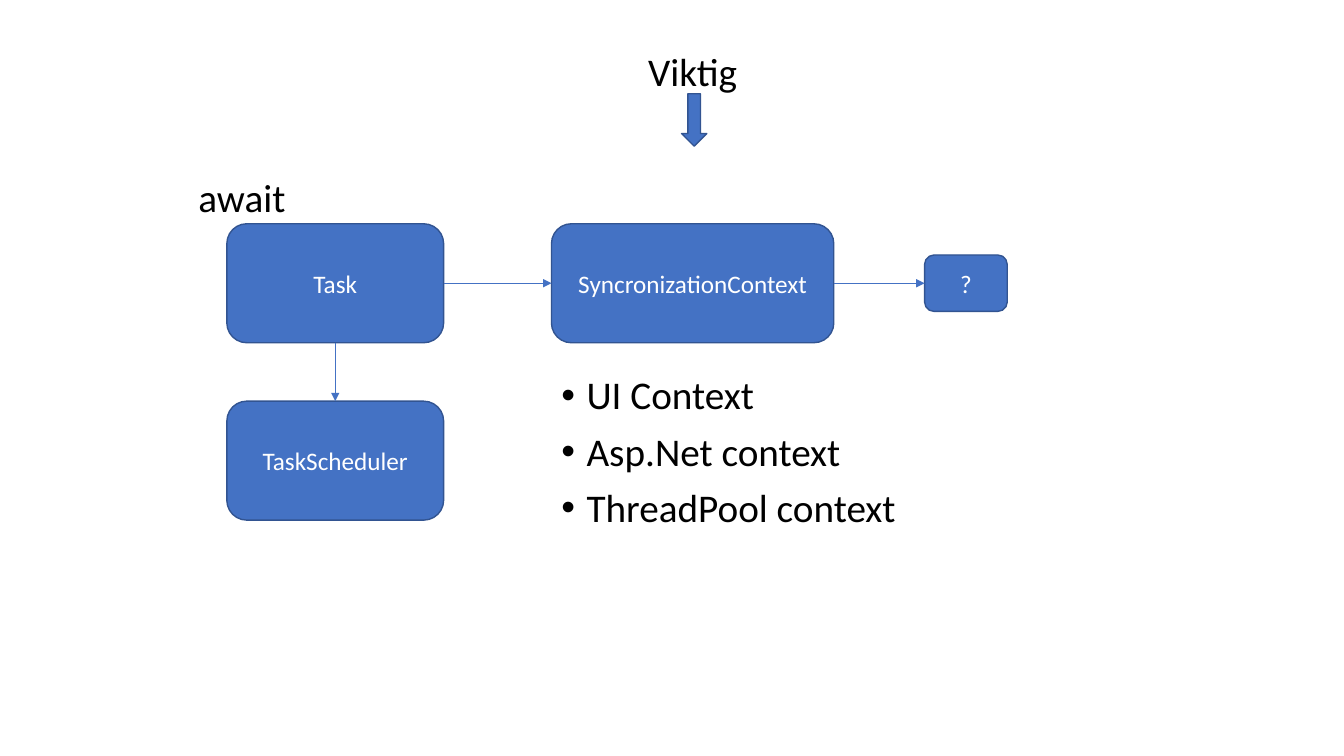
import dataclasses

import pptx
import pptx.dml.color
import pptx.enum.shapes
import pptx.enum.text
import pptx.oxml
import pptx.oxml.ns
import pptx.util

PX = 9144  # EMU per px, 100 px to the inch
SHAPES = pptx.enum.shapes.MSO_SHAPE
TOP, LEFT, BOTTOM, RIGHT = range(4)  # connection sites of a box


@dataclasses.dataclass(frozen=True)
class Theme:
    font: str = "Calibri"
    fill: str = "4472C4"
    outline: str = "325491"
    box_text: str = "FFFFFF"
    text: str = "000000"
    box_size: int = 18
    text_size: int = 28
    outline_width: float = 1
    arrow_width: float = 0.5


THEME = Theme()


def px(*lengths):
    return [pptx.util.Emu(length * PX) for length in lengths]


def rgb(value):
    return pptx.dml.color.RGBColor.from_string(value)


def set_values(target, values):
    for name, value in values.items():
        setattr(target, name, value)


def add_element(parent, tag, **attributes):
    element = pptx.oxml.parse_xml(f"<{tag} {pptx.oxml.ns.nsdecls('a')}/>")
    for name, value in attributes.items():
        element.set(name, value)
    parent.append(element)


def style_font(paragraph, size, color):
    set_values(paragraph.font, {"name": THEME.font, "size": pptx.util.Pt(size)})
    paragraph.font.color.rgb = rgb(color)


def add_block(slide, kind, bounds):
    """Filled and outlined preset shape."""
    shape = slide.shapes.add_shape(kind, *px(*bounds))
    shape.shadow.inherit = False
    shape.fill.solid()
    shape.fill.fore_color.rgb = rgb(THEME.fill)
    shape.line.color.rgb = rgb(THEME.outline)
    shape.line.width = pptx.util.Pt(THEME.outline_width)
    return shape


def add_box(slide, label, *bounds):
    shape = add_block(slide, SHAPES.ROUNDED_RECTANGLE, bounds)
    set_values(shape.text_frame, {
        "word_wrap": True,
        "vertical_anchor": pptx.enum.text.MSO_ANCHOR.MIDDLE,
    })
    paragraph = shape.text_frame.paragraphs[0]
    set_values(paragraph, {"text": label, "alignment": pptx.enum.text.PP_ALIGN.CENTER})
    style_font(paragraph, THEME.box_size, THEME.box_text)
    return shape


def add_arrow(slide, source, source_site, target, target_site):
    connector = slide.shapes.add_connector(
        pptx.enum.shapes.MSO_CONNECTOR.STRAIGHT, 0, 0, 0, 0)
    connector.begin_connect(source, source_site)
    connector.end_connect(target, target_site)
    connector.line.color.rgb = rgb(THEME.fill)
    connector.line.width = pptx.util.Pt(THEME.arrow_width)
    add_element(connector.line._get_or_add_ln(), "a:tailEnd", type="triangle")
    add_element(connector._element.spPr, "a:effectLst")


def add_text(slide, lines, bounds, line_spacing, bulleted=False):
    frame = slide.shapes.add_textbox(*px(*bounds)).text_frame
    frame.word_wrap = True
    for index, line in enumerate(lines):
        paragraph = frame.add_paragraph() if index else frame.paragraphs[0]
        if bulleted:
            properties = paragraph._element.get_or_add_pPr()
            indent = px(25)[0]
            properties.set("marL", str(indent))
            properties.set("indent", str(-indent))
            add_element(properties, "a:buFont", typeface="Arial")
            add_element(properties, "a:buChar", char="•")
        set_values(paragraph, {
            "text": line,
            "line_spacing": line_spacing,
            "space_before": pptx.util.Pt(10 if index else 0),
        })
        style_font(paragraph, THEME.text_size, THEME.text)


def main():
    presentation = pptx.Presentation()
    width, height = px(1333, 750)
    set_values(presentation, {"slide_width": width, "slide_height": height})
    slide = presentation.slides.add_slide(presentation.slide_layouts[6])

    # Boxes
    task = add_box(slide, "Task", 225, 222, 215, 118)
    scheduler = add_box(slide, "TaskScheduler", 225, 398, 215, 118)
    context = add_box(slide, "SyncronizationContext", 547, 222, 280, 118)
    unknown = add_box(slide, "?", 917, 253, 82, 56)

    # Arrows between boxes
    add_arrow(slide, task, BOTTOM, scheduler, TOP)
    add_arrow(slide, task, RIGHT, context, LEFT)
    add_arrow(slide, context, RIGHT, unknown, LEFT)

    # Kinds of context
    add_text(slide, ["UI Context", "Asp.Net context", "ThreadPool context"],
             (547, 368, 416, 217), 0.9, bulleted=True)

    # Pointer and labels
    add_block(slide, SHAPES.DOWN_ARROW, (676, 93, 25, 52))
    add_text(slide, ["Viktig"], (633, 51, 122, 50), 0.8)
    add_text(slide, ["await"], (187, 176, 122, 50), 0.8)

    presentation.save("out.pptx")


if __name__ == "__main__":
    main()
